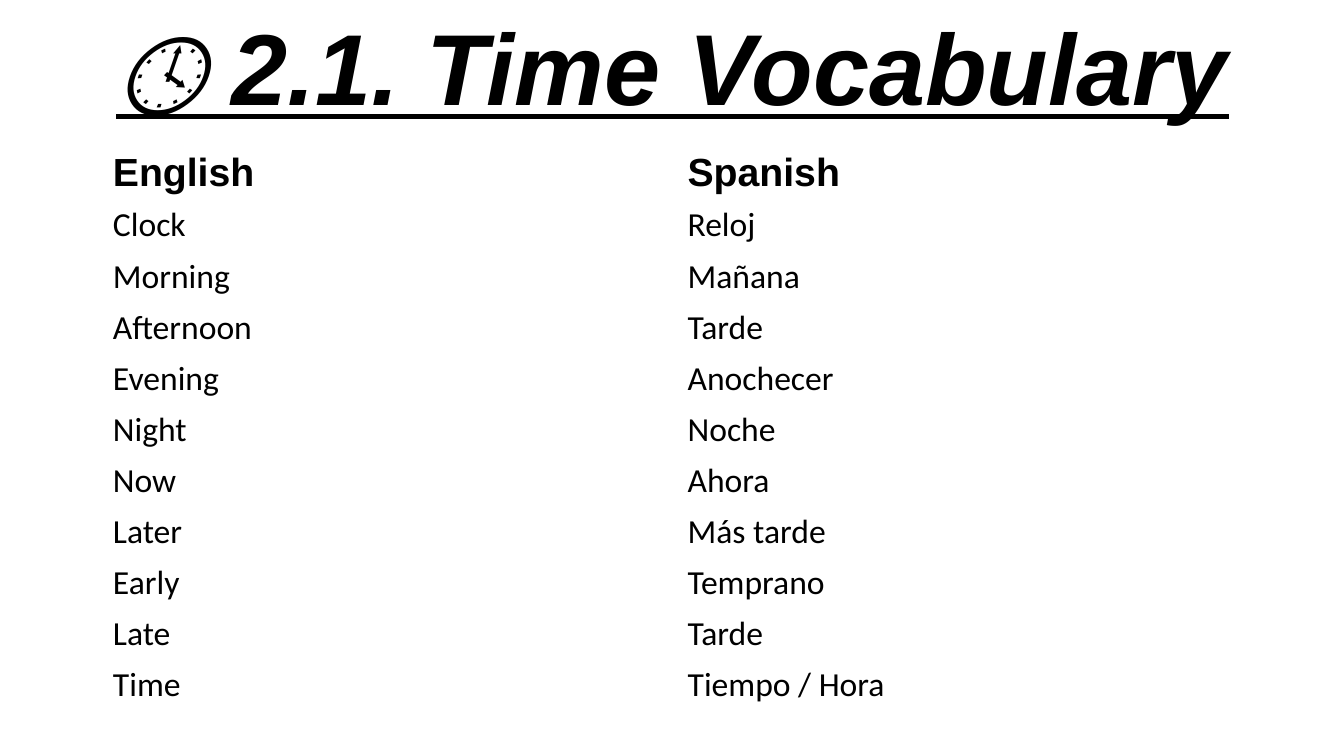
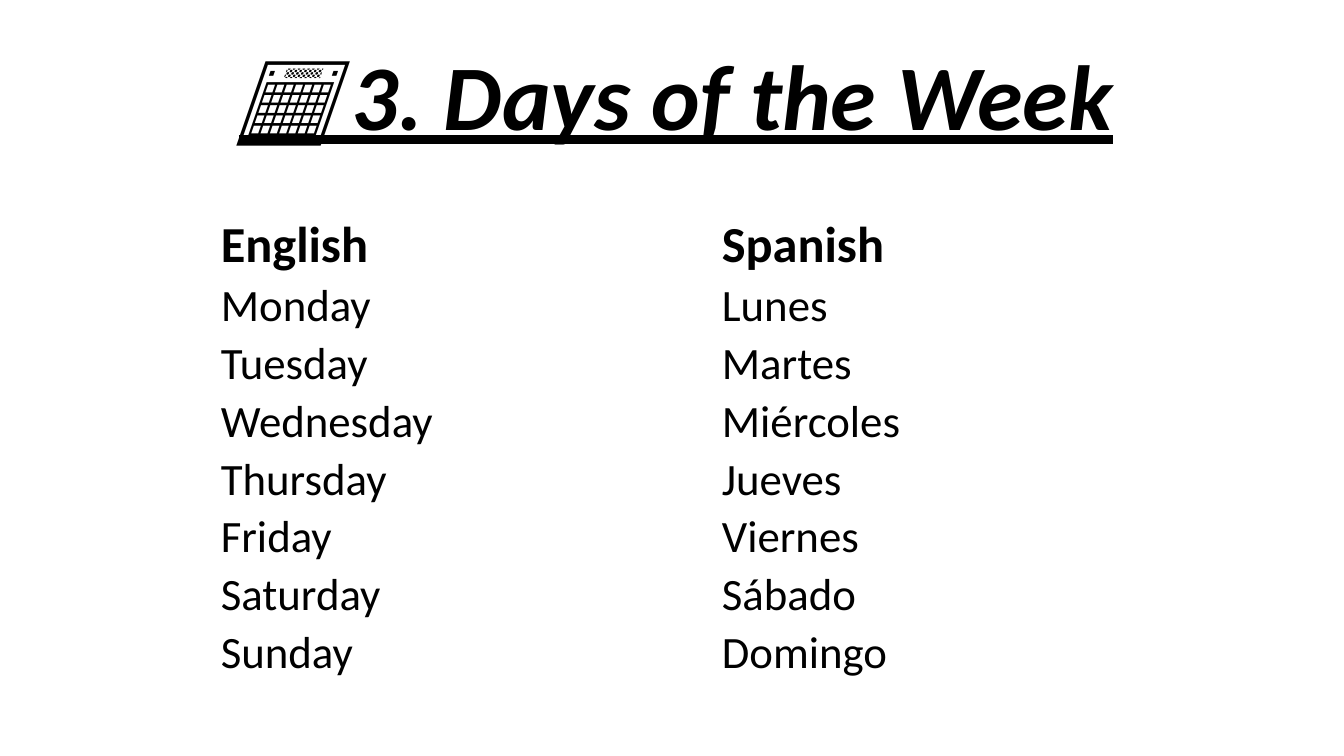
from pptx import Presentation
from pptx.dml.color import RGBColor
from pptx.enum.text import MSO_ANCHOR as Anchor, MSO_AUTO_SIZE as Fit, PP_ALIGN as Align
from pptx.util import Pt

PX = 9144
BLACK = RGBColor(0, 0, 0)

TIMES = [
    ("Clock", "Reloj"),
    ("Morning", "Mañana"),
    ("Afternoon", "Tarde"),
    ("Evening", "Anochecer"),
    ("Night", "Noche"),
    ("Now", "Ahora"),
    ("Later", "Más tarde"),
    ("Early", "Temprano"),
    ("Late", "Tarde"),
    ("Time", "Tiempo / Hora"),
]
DAYS = [
    ("Monday", "Lunes"),
    ("Tuesday", "Martes"),
    ("Wednesday", "Miércoles"),
    ("Thursday", "Jueves"),
    ("Friday", "Viernes"),
    ("Saturday", "Sábado"),
    ("Sunday", "Domingo"),
]


class Deck:
    heads = ("English", "Spanish")
    body = "Calibri"

    def __init__(self, width, height):
        self.prs = Presentation()
        self.prs.slide_width = width * PX
        self.prs.slide_height = height * PX
        self.slide = None

    def style(self, par, face, size, bold):
        font = par.font
        font.name = face
        font.size = Pt(size)
        font.bold = bold
        font.color.rgb = BLACK

    def title(self, text, box, face, size, lines=1.0, fit=Fit.NONE):
        self.slide = self.prs.slides.add_slide(self.prs.slide_layouts[5])
        shape = self.slide.shapes.title
        shape.left, shape.top, shape.width, shape.height = [n * PX for n in box]
        frame = shape.text_frame
        frame.text = text
        frame.word_wrap = True
        frame.auto_size = fit
        frame.vertical_anchor = Anchor.MIDDLE
        par = frame.paragraphs[0]
        par.alignment = Align.CENTER
        par.line_spacing = lines
        self.style(par, face, size, True)
        par.font.italic = par.font.underline = True

    def table(self, pairs, left, top, width, row, inset, face, large, small):
        rows = [self.heads, *pairs]
        frame = self.slide.shapes.add_table(
            len(rows), 2, left * PX, top * PX, width * PX, row * len(rows) * PX)
        grid = frame.table
        grid.horz_banding = False
        for r, words in enumerate(rows):
            for c, word in enumerate(words):
                cell = grid.cell(r, c)
                cell.text = word
                cell.fill.background()
                cell.vertical_anchor = Anchor.MIDDLE
                cell.margin_left = cell.margin_right = inset[0] * PX
                cell.margin_top = cell.margin_bottom = inset[1] * PX
                par = cell.text_frame.paragraphs[0]
                if r == 0:
                    self.style(par, face, large, True)
                else:
                    self.style(par, self.body, small, False)


def main():
    deck = Deck(1333, 750)

    deck.title("🕓 2.1. Time Vocabulary", (92, 0, 1150, 145), "Arial", 72, lines=0.9)
    deck.table(TIMES, 102, 145, 1140, 40, (10, 5), "Arial", 28, 24)

    deck.title("📅 3. Days of the Week", (134, 32, 1073, 121), "Calibri", 66,
               fit=Fit.SHAPE_TO_FIT_TEXT)
    deck.table(DAYS, 214, 211, 994, 29, (5, 2), "Calibri", 36, 32)

    deck.prs.save("out.pptx")


if __name__ == "__main__":
    main()
